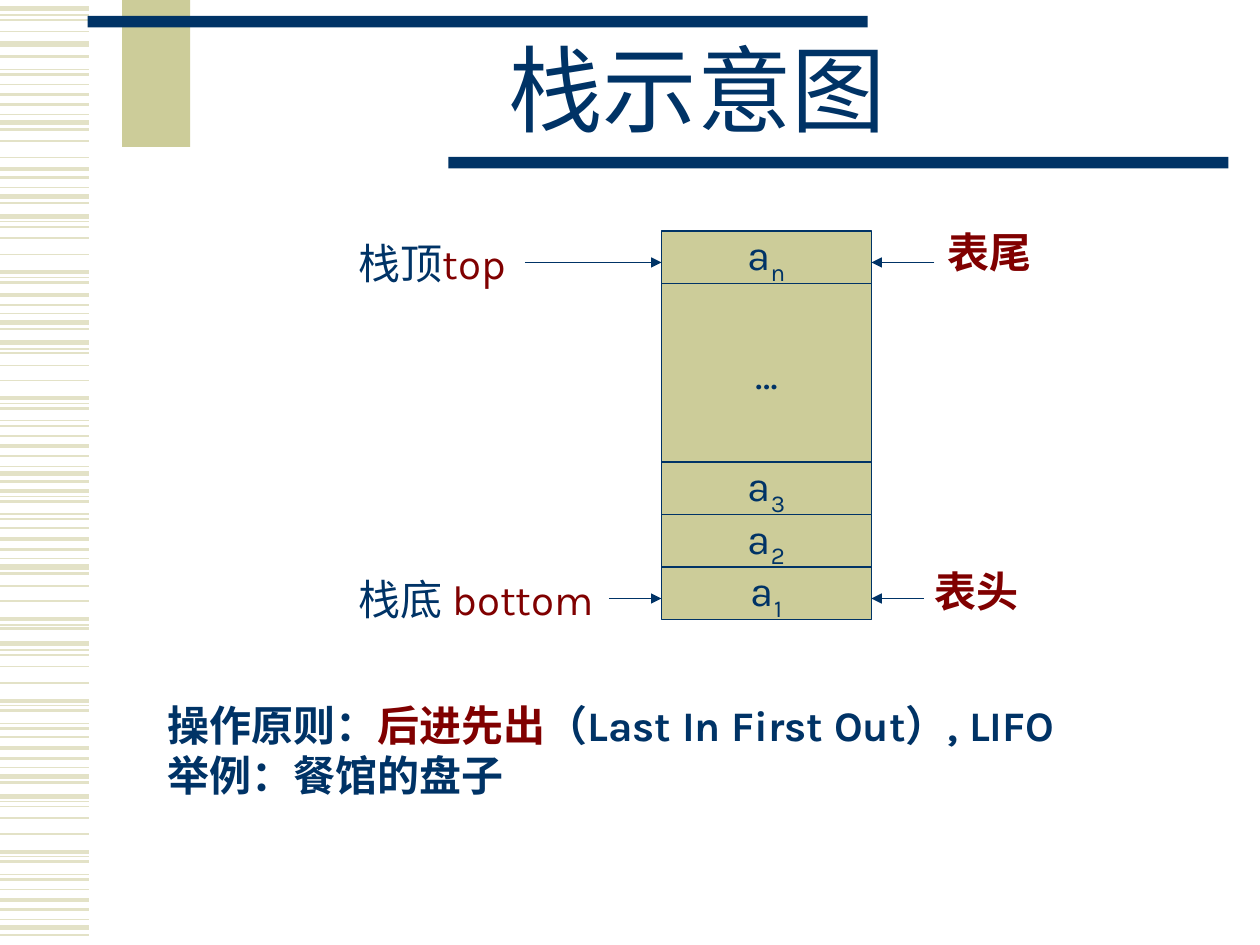
"""Draw the stack diagram slide on a grid of 120 columns by 90 rows."""
import dataclasses
import typing

import pptx
import pptx.dml.color
import pptx.enum.shapes
import pptx.enum.text
import pptx.oxml
import pptx.oxml.ns
import pptx.util

NAVY, MAROON, KHAKI, PALE = "003366", "800000", "CCCC99", "E3E2C7"
ALIGN = pptx.enum.text.PP_ALIGN
ANCHOR = pptx.enum.text.MSO_ANCHOR
TOP_ROW, BOTTOM_ROW = 25, 57
STACK_LEFT, STACK_WIDTH = 63, 20
STACK_RIGHT = STACK_LEFT + STACK_WIDTH
STRIPE_ROWS = 750
STRIPES = {
    0.75: [12, 55, 91, 149, 176, 220, 249, 277, 320, 334, 370, 394, 408, 443,
           496, 516, 560, 574, 609, 636, 680, 694, 730],
    1: [16, 25, 67, 112, 125, 180, 189, 202, 280, 290, 302, 346, 419, 465,
        477, 520, 529, 542, 585, 640, 649, 662, 706],
    1.5: [45, 59, 83, 103, 141, 161, 224, 242, 261, 324, 338, 362, 382, 398,
          412, 436, 455, 499, 564, 578, 602, 621, 684, 698, 722, 742],
    2.25: [75, 134, 216, 234, 316, 354, 390, 428, 491, 556, 594, 676, 714],
    3: [7, 35, 97, 156, 172, 256, 272, 376, 450, 511, 616, 632, 736],
}


class Span(typing.NamedTuple):
    """A stretch of text in one colour, optionally a subscript."""
    text: str
    color: str = NAVY
    subscript: bool = False


class Box(typing.NamedTuple):
    """A place on the grid, in columns and rows."""
    left: float
    top: float
    width: float
    height: float


@dataclasses.dataclass
class Label:
    """A block of free text, one list of spans per paragraph."""
    box: Box
    paragraphs: list[list[Span]]
    bold: bool = False


@dataclasses.dataclass
class Cell:
    """One element of the stack."""
    height: int
    spans: list[Span]


BARS = [
    (Box(11.64, 0, 6.48, 14), KHAKI),
    (Box(8.35, 1.52, 74.28, 1.08), NAVY),
    (Box(42.7, 14.95, 74.28, 1.08), NAVY),
]
CELLS = [
    Cell(5, [Span("a"), Span("n", subscript=True)]),
    Cell(17, [Span("…")]),
    *[Cell(5, [Span("a"), Span(str(index), subscript=True)]) for index in (3, 2, 1)],
]
LABELS = [
    Label(Box(33, 22, 19, 6), [[Span("栈顶"), Span("top", MAROON)]]),
    Label(Box(33, 54, 26, 6), [[Span("栈底 "), Span("bottom", MAROON)]]),
    Label(Box(89.04, 21, 12, 6), [[Span("表尾", MAROON)]], True),
    Label(Box(87.84, 53.28, 12, 6), [[Span("表头", MAROON)]], True),
    Label(Box(14.76, 66, 96.24, 11), [
        [Span("操作原则："), Span("后进先出", MAROON),
         Span("（Last In First Out）, LIFO")],
        [Span("举例：餐馆的盘子")],
    ], True),
]
ARROWS = [
    (50, STACK_LEFT, TOP_ROW), (58, STACK_LEFT, BOTTOM_ROW),
    (89, STACK_RIGHT, TOP_ROW), (88, STACK_RIGHT, BOTTOM_ROW),
]


def grid(units: float) -> int:
    """Turn grid columns or rows into a length."""
    return pptx.util.Inches(units / 12)


def place(box: Box) -> list[int]:
    """Turn a grid box into left, top, width and height."""
    return [grid(units) for units in box]


def paint(color_format, color: str) -> None:
    """Set a colour from its hex string."""
    color_format.rgb = pptx.dml.color.RGBColor.from_string(color)


def apply(target, formats: dict) -> None:
    """Set every attribute named in the format values."""
    for name, value in formats.items():
        setattr(target, name, value)


def write(paragraph, spans: list[Span], size: float = 24,
          font: str = "Karla", bold: bool = False) -> None:
    """Write the spans into a paragraph."""
    for span in spans:
        run = paragraph.add_run()
        run.text = span.text
        apply(run.font, {"name": font, "size": pptx.util.Pt(size), "bold": bold})
        paint(run.font.color, span.color)
        if span.subscript:
            run._r.get_or_add_rPr().set("baseline", "-25000")


def add_block(slide, box: Box, color: str):
    """Add a flat rectangle without an outline."""
    block = slide.shapes.add_shape(
        pptx.enum.shapes.MSO_SHAPE.RECTANGLE, *place(box))
    block.shadow.inherit = False
    block.fill.solid()
    paint(block.fill.fore_color, color)
    block.line.fill.background()
    return block


def add_line(slide, start: tuple, end: tuple, color: str, weight: float,
             arrow: bool = False) -> None:
    """Add a straight line, optionally with an arrowhead at its end."""
    line = slide.shapes.add_connector(
        pptx.enum.shapes.MSO_CONNECTOR.STRAIGHT, *start, *end)
    paint(line.line.color, color)
    line.line.width = pptx.util.Pt(weight)
    if arrow:
        head = pptx.oxml.parse_xml(
            f'<a:tailEnd {pptx.oxml.ns.nsdecls("a")} type="triangle"/>')
        line._element.spPr.get_or_add_ln().append(head)
    line._element.spPr.append(
        pptx.oxml.parse_xml(f'<a:effectLst {pptx.oxml.ns.nsdecls("a")}/>'))


def add_stripes(slide, slide_height: int) -> None:
    """Rule the left margin with pale stripes."""
    for weight, rows in STRIPES.items():
        for row in rows:
            height = round(slide_height * row / STRIPE_ROWS)
            add_line(slide, (0, height), (grid(8.5), height), PALE, weight)


def add_title(slide, text: str) -> None:
    """Move the title placeholder and write the heading."""
    title = slide.shapes.title
    apply(title, dict(zip(("left", "top", "width", "height"),
                          place(Box(18, 3.17, 96.84, 12)))))
    apply(title.text_frame, {"vertical_anchor": ANCHOR.MIDDLE, "word_wrap": True,
                             "auto_size": pptx.enum.text.MSO_AUTO_SIZE.NONE})
    heading = title.text_frame.paragraphs[0]
    apply(heading, {"alignment": ALIGN.CENTER, "line_spacing": 0.85})
    write(heading, [Span(text)], 54, "Times New Roman")


def add_stack(slide, cells: list[Cell], top: float) -> None:
    """Pile the cells downwards from the top row."""
    for cell in cells:
        block = add_block(slide, Box(STACK_LEFT, top, STACK_WIDTH, cell.height), KHAKI)
        paint(block.line.color, NAVY)
        block.line.width = pptx.util.Pt(0.75)
        apply(block.text_frame, {"vertical_anchor": ANCHOR.MIDDLE, "word_wrap": False})
        paragraph = block.text_frame.paragraphs[0]
        paragraph.alignment = ALIGN.CENTER
        write(paragraph, cell.spans)
        top += cell.height


def add_label(slide, label: Label) -> None:
    """Add a text box with its paragraphs."""
    frame = slide.shapes.add_textbox(*place(label.box)).text_frame
    frame.word_wrap = True
    for index, spans in enumerate(label.paragraphs):
        paragraph = frame.add_paragraph() if index else frame.paragraphs[0]
        write(paragraph, spans, bold=label.bold)


def main() -> None:
    """Build and save the slide."""
    deck = pptx.Presentation()
    apply(deck, {"slide_width": grid(120), "slide_height": grid(90)})
    slide = deck.slides.add_slide(deck.slide_layouts[5])
    add_stripes(slide, deck.slide_height)
    for box, color in BARS:
        add_block(slide, box, color)
    add_title(slide, "栈示意图")
    add_stack(slide, CELLS, 22)
    for label in LABELS:
        add_label(slide, label)
    for start, end, row in ARROWS:
        add_line(slide, (grid(start), grid(row)), (grid(end), grid(row)),
                 NAVY, 0.75, arrow=True)
    deck.save("out.pptx")


if __name__ == "__main__":
    main()
